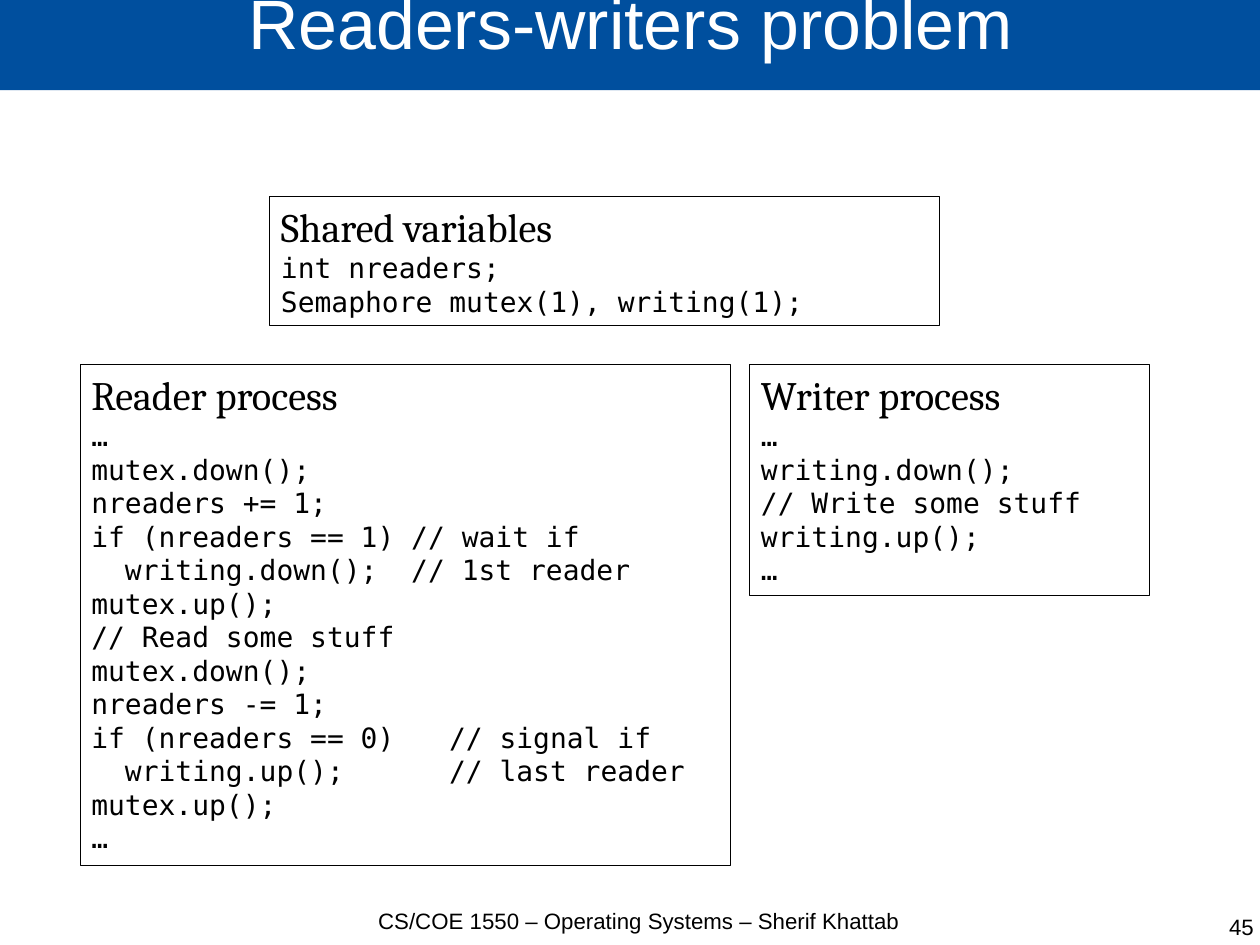
from pptx import Presentation
from pptx.dml.color import RGBColor as RGB
from pptx.enum.shapes import MSO_SHAPE as SHAPE
from pptx.enum.text import MSO_ANCHOR as ANCHOR, MSO_AUTO_SIZE as FIT, PP_ALIGN as ALIGN
from pptx.oxml.ns import qn
from pptx.util import Cm, Inches, Pt
from lxml.etree import SubElement

# Content
TITLE = "Readers-writers problem"
FOOTER = "CS/COE 1550 – Operating Systems – Sherif Khattab"
PAGE = "45"
READER = """…
mutex.down();
nreaders += 1;
if (nreaders == 1) // wait if
  writing.down();  // 1st reader
mutex.up();
// Read some stuff
mutex.down();
nreaders -= 1;
if (nreaders == 0)\t// signal if
  writing.up();\t// last reader
mutex.up();
…"""
SHARED = """int nreaders;
Semaphore mutex(1), writing(1);"""
WRITER = """…
writing.down();
// Write some stuff
writing.up();
…"""

# Theme
BLACK, WHITE, BLUE = RGB(0, 0, 0), RGB(255, 255, 255), RGB(0, 0x4F, 0x9E)
THEME = {
    "title": dict(name="Arial", size=Pt(44), color=WHITE),
    "footer": dict(name="Arial", size=Pt(14), color=BLACK),
    "head": dict(name="Cambria", size=Pt(25.4), color=BLACK),
    "code": dict(name="DejaVu Sans Mono", size=Pt(17.6), color=BLACK),
}

# Layout in inches, on a slide of 28 by 21 cm
SLIDE_W, SLIDE_H = Cm(28), Cm(21)
HEAD_H = 0.54  # heading with insets
LINE_H = THEME["code"]["size"].inches * 1.21
FOOTER_H = 0.55
COMMENT_TAB = 3.13
PROCESS_TOP = 3.19
PANELS = [  # heading, code, left, top, width
    ("Reader process", READER, 0.7, PROCESS_TOP, 5.69),
    ("Shared variables", SHARED, 2.36, 1.72, 5.86),
    ("Writer process", WRITER, 6.56, PROCESS_TOP, 3.5),
]
FOOTERS = [  # text, left, top, width, alignment
    (FOOTER, 3.07, 7.94, 5.04, ALIGN.CENTER),
    (PAGE, 8.44, 7.99, 2.53, ALIGN.RIGHT),
]


def add_box(s, x, y, w, h, inset=(0.1, 0.05)):
    sp = s.shapes.add_shape(SHAPE.RECTANGLE, *map(Inches, (x, y, w, h)))
    sp.shadow.inherit = False
    sp.fill.background()
    sp.line.fill.background()
    tf = sp.text_frame
    dx, dy = map(Inches, inset)
    frame = dict(word_wrap=True, vertical_anchor=ANCHOR.TOP, margin_left=dx,
                 margin_right=dx, margin_top=dy, margin_bottom=dy)
    for key, value in frame.items():
        setattr(tf, key, value)
    return sp


def write(p, text, style, align=ALIGN.LEFT):
    p.alignment = align
    if "\t" in text:
        tabs = SubElement(p._p.get_or_add_pPr(), qn("a:tabLst"))
        SubElement(tabs, qn("a:tab"), pos=str(Inches(COMMENT_TAB)), algn="l")
    r = p.add_run()
    r.text = text
    for key, value in THEME[style].items():
        if key == "color":
            r.font.color.rgb = value
        else:
            setattr(r.font, key, value)


prs = Presentation()
prs.slide_width, prs.slide_height = SLIDE_W, SLIDE_H
s = prs.slides.add_slide(prs.slide_layouts[6])

# Title band
band = add_box(s, 0, -0.02, 11.04, 0.81)
band.fill.solid()
band.fill.fore_color.rgb = BLUE
p = band.text_frame.paragraphs[0]
p.line_spacing = 0.69
write(p, TITLE, "title", ALIGN.CENTER)

# Footer and page number
for text, x, y, w, align in FOOTERS:
    sp = add_box(s, x, y, w, FOOTER_H, inset=(0, 0))
    write(sp.text_frame.paragraphs[0], text, "footer", align)

# Code panels
for heading, code, x, y, w in PANELS:
    lines = code.split("\n")
    sp = add_box(s, x, y, w, HEAD_H + LINE_H * len(lines))
    sp.line.color.rgb = BLACK
    sp.line.width = Pt(0.5)
    tf = sp.text_frame
    tf.auto_size = FIT.SHAPE_TO_FIT_TEXT
    write(tf.paragraphs[0], heading, "head")
    for line in lines:
        write(tf.add_paragraph(), line, "code")

prs.save("out.pptx")
